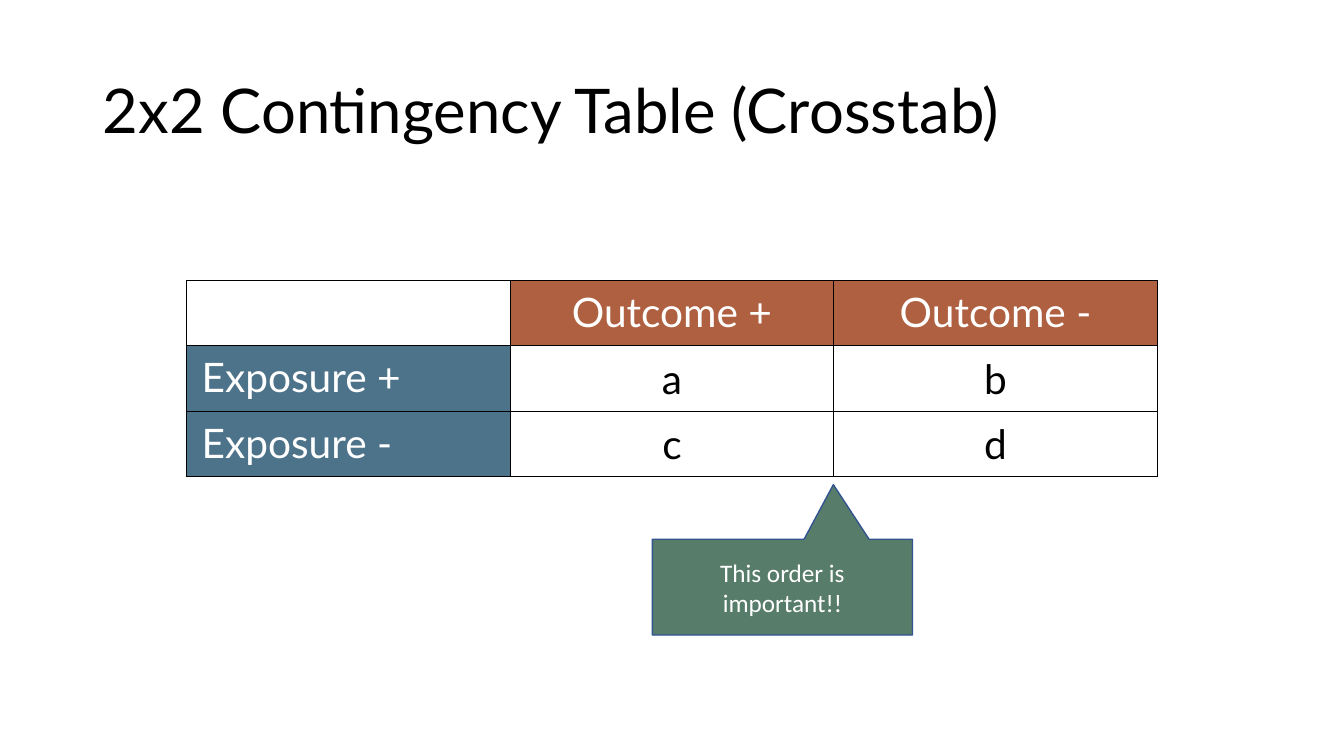
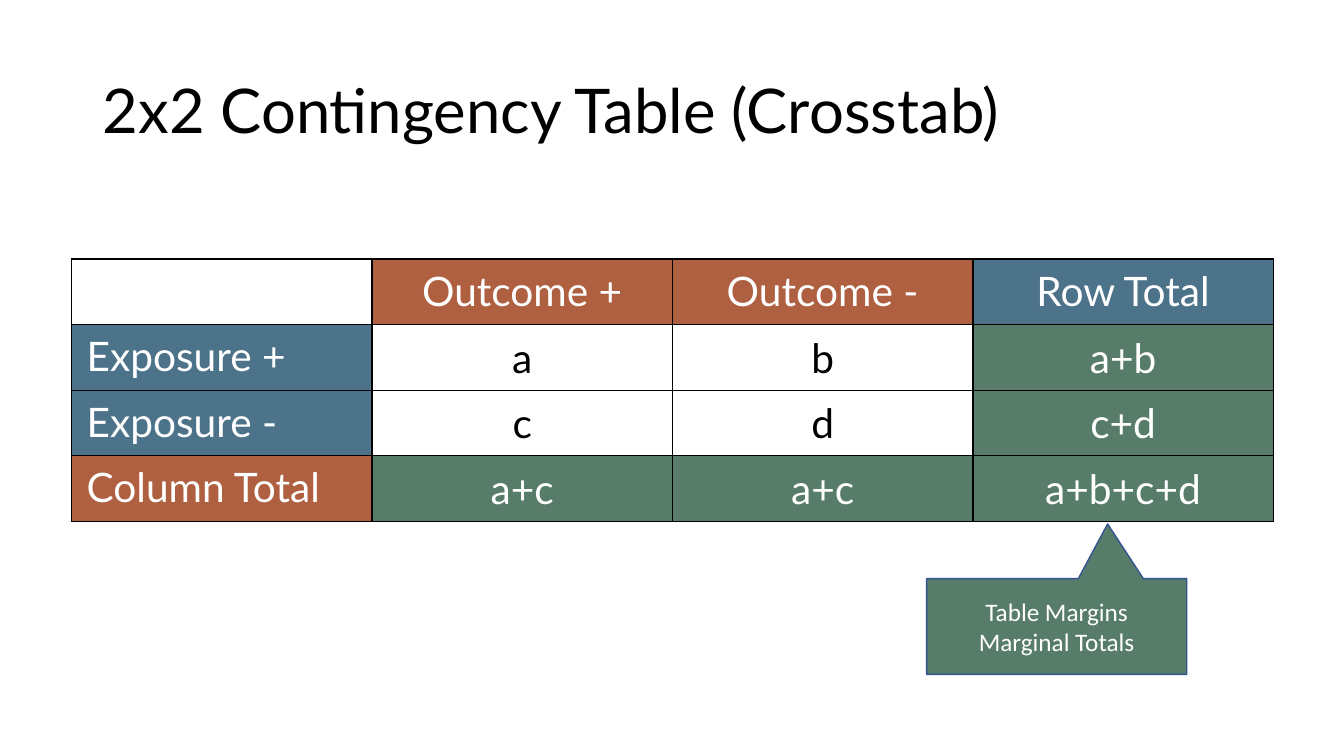
from dataclasses import dataclass

from lxml import etree
from pptx import Presentation
from pptx.dml.color import RGBColor
from pptx.enum.shapes import MSO_SHAPE
from pptx.enum.text import MSO_ANCHOR, PP_ALIGN
from pptx.oxml.ns import qn
from pptx.util import Inches, Pt

CALLOUT = MSO_SHAPE.RECTANGULAR_CALLOUT
MIDDLE, TOP = MSO_ANCHOR.MIDDLE, MSO_ANCHOR.TOP
CENTER, LEFT = PP_ALIGN.CENTER, PP_ALIGN.LEFT


@dataclass(frozen=True)
class Theme:
    black: str = "000000"
    white: str = "FFFFFF"
    outcome: str = "AE6041"
    exposure: str = "4D738A"
    total: str = "577C69"
    callout_line: str = "325491"
    font: str = "Lato"
    callout_font: str = "Calibri"
    title_size: int = 44
    cell_size: int = 29
    callout_size: int = 18


THEME = Theme()
TITLE = "2x2 Contingency Table (Crosstab)"
ROW_HEIGHT = 0.65
OUTCOME, EXPOSURE, TOTAL = THEME.outcome, THEME.exposure, THEME.total

SLIDES = [
    {
        "table_at": (1.85, 2.78),
        "column_width": 3.21,
        "rows": [
            [("", None), ("Outcome +", OUTCOME), ("Outcome -", OUTCOME)],
            [("Exposure +", EXPOSURE), ("a", None), ("b", None)],
            [("Exposure -", EXPOSURE), ("c", None), ("d", None)],
        ],
        "callout_at": (6.47, 5.35),
        "callout": "This order is important!!",
    },
    {
        "table_at": (0.71, 2.57),
        "column_width": 2.98,
        "rows": [
            [("", None), ("Outcome +", OUTCOME), ("Outcome -", OUTCOME), ("Row Total", EXPOSURE)],
            [("Exposure +", EXPOSURE), ("a", None), ("b", None), ("a+b", TOTAL)],
            [("Exposure -", EXPOSURE), ("c", None), ("d", None), ("c+d", TOTAL)],
            [("Column Total", OUTCOME), ("a+c", TOTAL), ("a+c", TOTAL), ("a+b+c+d", TOTAL)],
        ],
        "callout_at": (9.19, 5.74),
        "callout": "Table Margins\nMarginal Totals",
    },
]


def write_text(frame, text, size, font, color, align):
    frame.text = text
    for paragraph in frame.paragraphs:
        paragraph.alignment = align
        paragraph.font.size = Pt(size)
        for run in paragraph.runs:
            run.font.size = Pt(size)
            run.font.name = font
            run.font.color.rgb = RGBColor.from_string(color)


def add_borders(cell):
    properties = cell._tc.get_or_add_tcPr()
    for side in ("a:lnL", "a:lnR", "a:lnT", "a:lnB"):
        border = etree.SubElement(properties, qn(side), w=str(Pt(1)))
        solid = etree.SubElement(border, qn("a:solidFill"))
        etree.SubElement(solid, qn("a:srgbClr"), val=THEME.black)


prs = Presentation()
prs.slide_width, prs.slide_height = Inches(13.33), Inches(7.5)
blank = prs.slide_layouts[6]

for content in SLIDES:
    slide = prs.slides.add_slide(blank)

    title = slide.shapes.add_textbox(Inches(0.92), Inches(0.4), Inches(11.5), Inches(1.45))
    title.text_frame.word_wrap = True
    title.text_frame.vertical_anchor = MIDDLE
    write_text(title.text_frame, TITLE, THEME.title_size, THEME.font, THEME.black, LEFT)
    title.text_frame.paragraphs[0].line_spacing = 0.9

    rows = content["rows"]
    row_count, column_count = len(rows), len(rows[0])
    left, top = content["table_at"]
    crosstab = slide.shapes.add_table(
        row_count, column_count, Inches(left), Inches(top),
        Inches(content["column_width"] * column_count), Inches(ROW_HEIGHT * row_count),
    ).table
    crosstab.first_row = False
    crosstab.horz_banding = False

    for r, row in enumerate(rows):
        for c, (label, fill) in enumerate(row):
            cell = crosstab.cell(r, c)
            cell.margin_left = cell.margin_right = Inches(0.15)
            cell.margin_top = cell.margin_bottom = Inches(0.07)
            cell.vertical_anchor = MIDDLE if r and c else TOP
            add_borders(cell)
            if fill:
                cell.fill.solid()
                cell.fill.fore_color.rgb = RGBColor.from_string(fill)
            else:
                cell.fill.background()
            write_text(cell.text_frame, label, THEME.cell_size, THEME.font,
                       THEME.white if fill else THEME.black, CENTER if c else LEFT)

    left, top = content["callout_at"]
    callout = slide.shapes.add_shape(CALLOUT, Inches(left), Inches(top), Inches(2.58), Inches(0.95))
    callout.adjustments[0], callout.adjustments[1] = 0.196, -1.071
    callout.shadow.inherit = False
    callout.fill.solid()
    callout.fill.fore_color.rgb = RGBColor.from_string(THEME.total)
    callout.line.color.rgb = RGBColor.from_string(THEME.callout_line)
    callout.line.width = Pt(1)
    callout.text_frame.word_wrap = True
    callout.text_frame.vertical_anchor = MIDDLE
    write_text(callout.text_frame, content["callout"], THEME.callout_size,
               THEME.callout_font, THEME.white, CENTER)

prs.save("out.pptx")
